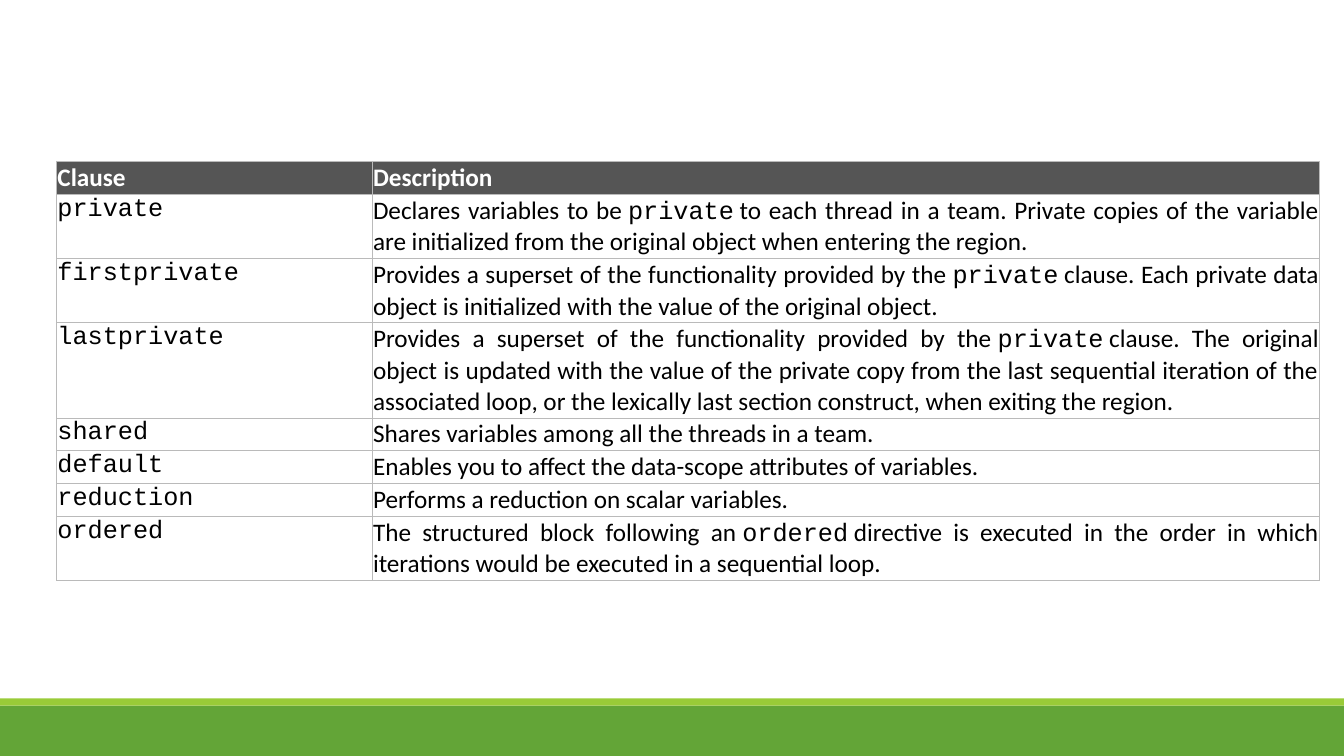
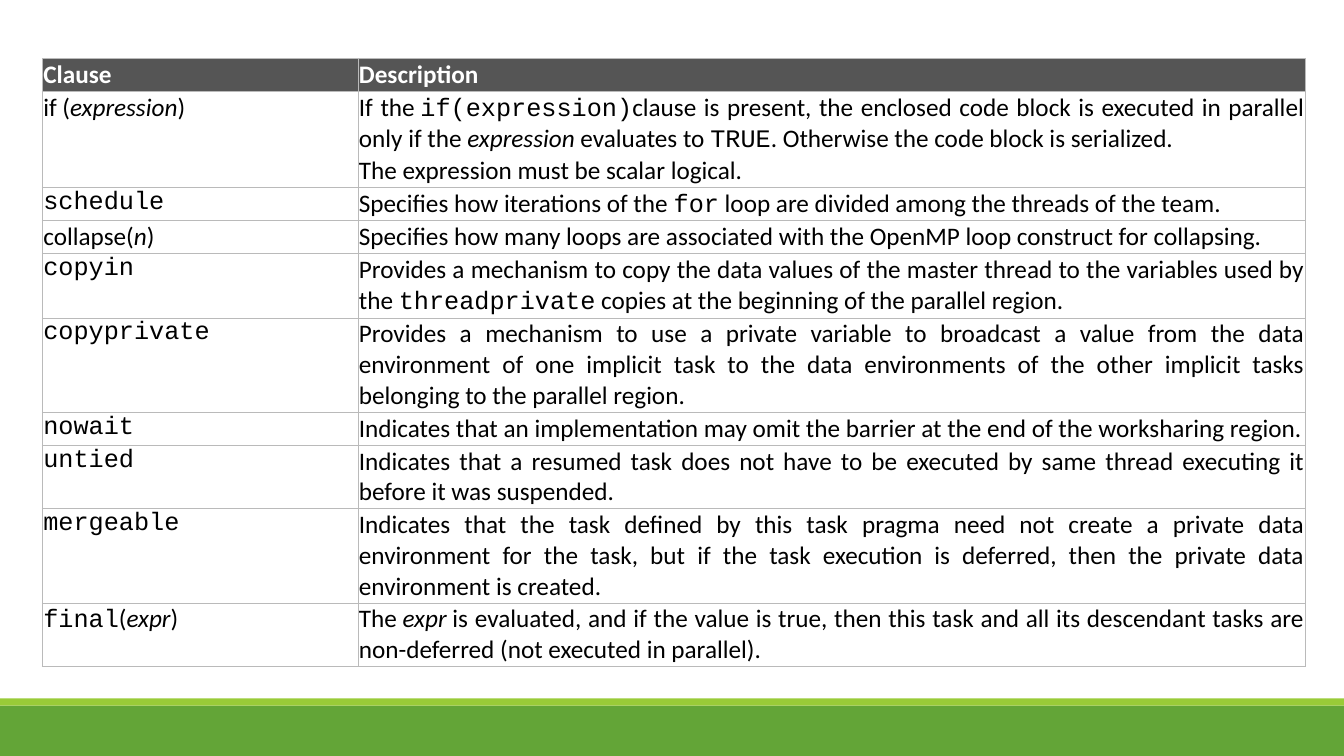
from lxml.etree import SubElement
from pptx import Presentation
from pptx.dml.color import RGBColor
from pptx.enum.shapes import MSO_SHAPE
from pptx.enum.text import MSO_ANCHOR, PP_ALIGN
from pptx.oxml.ns import qn
from pptx.util import Inches, Pt

COLORS = {"band": "63A537", "stripe": "99CB38", "header": "555555",
          "border": "BABABA", "white": "FFFFFF", "black": "000000"}
BODY, MONO = "Calibri", "Courier New"
SLIDE_W, SLIDE_H = 13.33, 7.5
COLS = (3.13, 9.4)
ROW_H = 0.3
NBSP = chr(160)
CELL = {"margin_left": Inches(0.01), "margin_right": Inches(0.01),
        "margin_top": Inches(0.01), "margin_bottom": Inches(0.01),
        "vertical_anchor": MSO_ANCHOR.TOP}
HEADINGS = ("Clause", "Description")

DATA_CLAUSES = [
    ("`private`", "Declares variables to be `private` to each thread in a team. Private copies of the "
     "variable are initialized from the original object when entering the region."),
    ("`firstprivate`", "Provides a superset of the functionality provided by the `private` clause. "
     "Each private data object is initialized with the value of the original object."),
    ("`lastprivate`", "Provides a superset of the functionality provided by the `private` clause. "
     "The original object is updated with the value of the private copy from the last sequential "
     "iteration of the associated loop, or the lexically last section construct, when exiting the region."),
    ("`shared`", "Shares variables among all the threads in a team."),
    ("`default`", "Enables you to affect the data-scope attributes of variables."),
    ("`reduction`", "Performs a reduction on scalar variables."),
    ("`ordered`", "The structured block following an `ordered` directive is executed in the order "
     "in which iterations would be executed in a sequential loop."),
]
CONTROL_CLAUSES = [
    ("if (*expression*)", "If the `if(expression)`clause is present, the enclosed code block is executed "
     "in parallel only if the *expression* evaluates to `TRUE`. Otherwise the code block is serialized.\n"
     "The expression must be scalar logical."),
    ("`schedule`", "Specifies how iterations of the `for` loop are divided among the threads of the team."),
    ("collapse(*n*)", "Specifies how many loops are associated with the OpenMP loop construct for collapsing."),
    ("`copyin`", "Provides a mechanism to copy the data values of the master thread to the variables "
     "used by the `threadprivate` copies at the beginning of the parallel region."),
    ("`copyprivate`", "Provides a mechanism to use a private variable to broadcast a value from the data "
     "environment of one implicit task to the data environments of the other implicit tasks "
     "belonging to the parallel region."),
    ("`nowait`", "Indicates that an implementation may omit the barrier at the end of the worksharing region."),
    ("`untied`", "Indicates that a resumed task does not have to be executed by same thread executing "
     "it before it was suspended."),
    ("`mergeable`", "Indicates that the task defined by this task pragma need not create a private data "
     "environment for the task, but if the task execution is deferred, then the private data "
     "environment is created."),
    ("`final`(*expr*)", "The *expr* is evaluated, and if the value is true, then this task and all its "
     "descendant tasks are non-deferred (not executed in parallel)."),
]


def rgb(name):
    return RGBColor.from_string(COLORS[name])


def apply(obj, formats):
    for key, value in formats.items():
        setattr(obj, key, value)


def split_runs(text):
    for mark in "`*":
        text = text.replace(" " + mark, NBSP + mark).replace(mark + " ", mark + NBSP)
    for i, part in enumerate(text.split("`")):
        for j, piece in enumerate(part.split("*")):
            if piece:
                yield piece, MONO if i % 2 else BODY, bool(j % 2)


def add_borders(cell):
    tcPr = cell._tc.get_or_add_tcPr()
    for side in "LRTB":
        ln = SubElement(tcPr, qn("a:ln" + side), w=str(Pt(0.6)))
        fill = SubElement(ln, qn("a:solidFill"))
        SubElement(fill, qn("a:srgbClr"), val=COLORS["border"])


def fill_cell(cell, text, header):
    apply(cell, CELL)
    add_borders(cell)
    cell.fill.solid()
    cell.fill.fore_color.rgb = rgb("header" if header else "white")
    tf = cell.text_frame
    for i, line in enumerate(text.split("\n")):
        p = tf.add_paragraph() if i else tf.paragraphs[0]
        apply(p, {"alignment": PP_ALIGN.JUSTIFY, "space_after": Pt(5 if header else 0)})
        for piece, font, italic in split_runs(line):
            r = p.add_run()
            r.text = piece
            apply(r.font, {"name": font, "size": Pt(18), "bold": header, "italic": italic})
            r.font.color.rgb = rgb("white" if header else "black")


def add_clause_table(s, left, top, clauses):
    rows = [HEADINGS] + clauses
    table = s.shapes.add_table(len(rows), len(COLS), Inches(left), Inches(top),
                               Inches(sum(COLS)), Inches(ROW_H * len(rows))).table
    apply(table, {"first_row": False, "horz_banding": False})
    for col, width in zip(table.columns, COLS):
        col.width = Inches(width)
    for i, texts in enumerate(rows):
        for j, text in enumerate(texts):
            fill_cell(table.cell(i, j), text, i == 0)


def add_footer(s):
    for color, top, height in (("band", 7, 0.5), ("stripe", 6.93, 0.07)):
        sp = s.shapes.add_shape(MSO_SHAPE.RECTANGLE, 0, Inches(top), Inches(SLIDE_W), Inches(height))
        sp.shadow.inherit = False
        sp.fill.solid()
        sp.fill.fore_color.rgb = rgb(color)
        sp.line.fill.background()


def add_clause_slide(prs, left, top, clauses):
    s = prs.slides.add_slide(prs.slide_layouts[6])
    add_footer(s)
    add_clause_table(s, left, top, clauses)


def main():
    prs = Presentation()
    apply(prs, {"slide_width": Inches(SLIDE_W), "slide_height": Inches(SLIDE_H)})
    add_clause_slide(prs, 0.56, 1.6, DATA_CLAUSES)
    add_clause_slide(prs, 0.42, 0.58, CONTROL_CLAUSES)
    prs.save("out.pptx")


if __name__ == "__main__":
    main()
